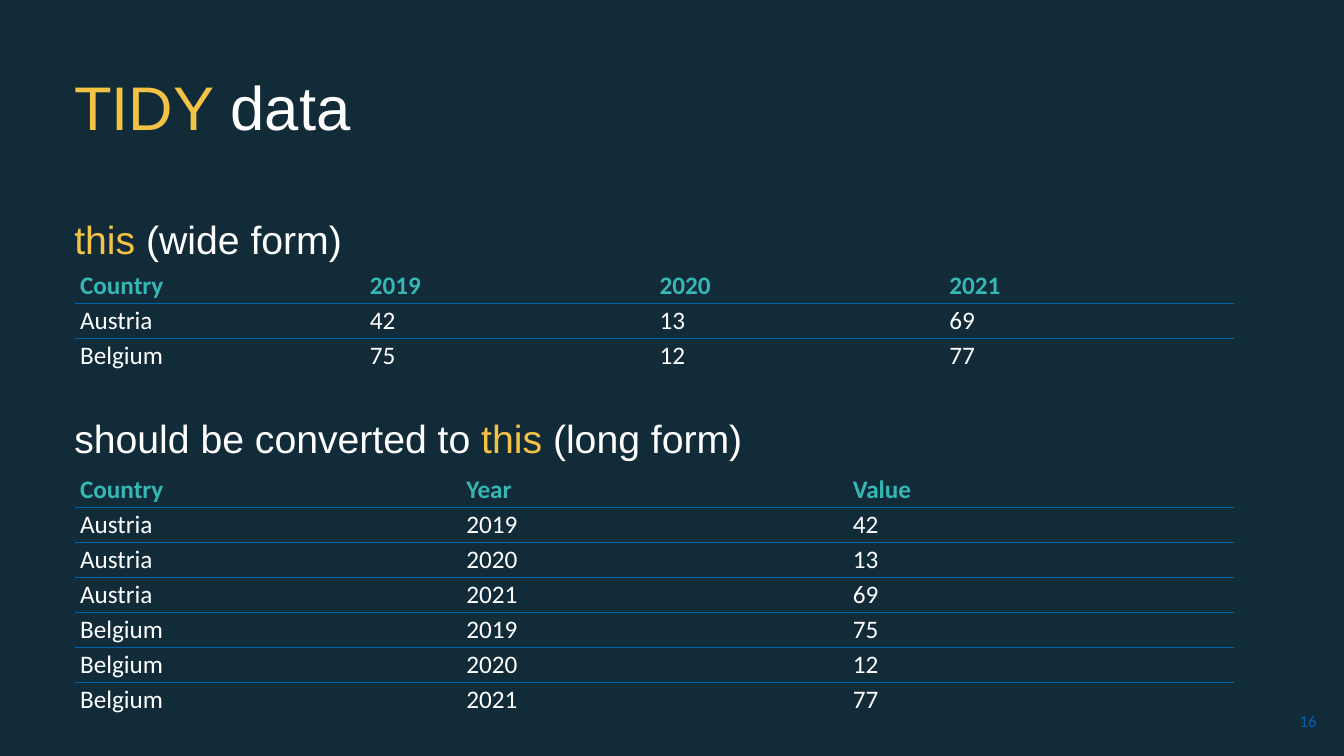
from dataclasses import dataclass

from lxml import etree
from pptx import Presentation
from pptx.dml.color import RGBColor
from pptx.enum.text import MSO_ANCHOR, PP_ALIGN
from pptx.oxml.ns import qn
from pptx.util import Pt

MIDDLE = MSO_ANCHOR.MIDDLE
TOP = MSO_ANCHOR.TOP
LEFT = PP_ALIGN.LEFT
RIGHT = PP_ALIGN.RIGHT


@dataclass(frozen=True)
class Theme:
    background: str = "122B39"
    text: str = "FFFFFF"
    accent: str = "F4C245"
    header: str = "36B7B4"
    rule: str = "0063AF"
    heading_font: str = "Arial"
    body_font: str = "Calibri"
    title_size: int = 44
    heading_size: int = 28
    table_size: int = 18
    number_size: int = 12
    rule_width: int = 1
    row_height: int = 25


THEME = Theme()

WIDE_ROWS = [
    ("Country", "2019", "2020", "2021"),
    ("Austria", "42", "13", "69"),
    ("Belgium", "75", "12", "77"),
]


def to_long(rows):
    years = rows[0][1:]
    long_rows = [("Country", "Year", "Value")]
    for country, *values in rows[1:]:
        long_rows += [(country, year, value) for year, value in zip(years, values)]
    return long_rows


def add_run(paragraph, text, font, size, color, bold=False):
    run = paragraph.add_run()
    run.text = text
    formats = {"name": font, "size": Pt(size), "bold": bold}
    for name, value in formats.items():
        setattr(run.font, name, value)
    run.font.color.rgb = RGBColor.from_string(color)


def add_text(slide, box, runs, font, size, anchor=TOP, align=LEFT, spacing=1.0):
    frame = slide.shapes.add_textbox(*map(Pt, box)).text_frame
    paragraph = frame.paragraphs[0]
    for target, formats in (
        (frame, {"word_wrap": True, "vertical_anchor": anchor}),
        (paragraph, {"alignment": align, "line_spacing": spacing}),
    ):
        for name, value in formats.items():
            setattr(target, name, value)
    for text, color in runs:
        add_run(paragraph, text, font, size, color)


def set_borders(cell, top, bottom):
    properties = cell._tc.get_or_add_tcPr()
    sides = {"a:lnL": False, "a:lnR": False, "a:lnT": top, "a:lnB": bottom}
    for index, (tag, visible) in enumerate(sides.items()):
        line = etree.Element(qn(tag), w=str(Pt(THEME.rule_width)))
        if visible:
            fill = etree.SubElement(line, qn("a:solidFill"))
            etree.SubElement(fill, qn("a:srgbClr"), val=THEME.rule)
        else:
            etree.SubElement(line, qn("a:noFill"))
        properties.insert(index, line)


def add_data_table(slide, left, top, width, rows):
    height = THEME.row_height * len(rows)
    table = slide.shapes.add_table(
        len(rows), len(rows[0]), Pt(left), Pt(top), Pt(width), Pt(height)
    ).table
    table.horz_banding = False
    cell_formats = {
        "margin_left": Pt(3.6),
        "margin_right": Pt(3.6),
        "margin_top": Pt(1.4),
        "margin_bottom": Pt(1.4),
        "vertical_anchor": MIDDLE,
    }
    for row_index, row in enumerate(rows):
        is_header = row_index == 0
        color = THEME.header if is_header else THEME.text
        for column_index, text in enumerate(row):
            cell = table.cell(row_index, column_index)
            for name, value in cell_formats.items():
                setattr(cell, name, value)
            cell.fill.background()
            set_borders(cell, not is_header, row_index < len(rows) - 1)
            paragraph = cell.text_frame.paragraphs[0]
            add_run(paragraph, text, THEME.body_font, THEME.table_size, color, is_header)


def add_section(slide, box, runs, table_offset, rows):
    left, top, width = box
    add_text(slide, (left, top, width, 40), runs, THEME.heading_font, THEME.heading_size)
    add_data_table(slide, left + 7.6, top + table_offset, width, rows)


def add_title(slide, box):
    runs = [("TIDY ", THEME.accent), ("data", THEME.text)]
    add_text(slide, box, runs, THEME.heading_font, THEME.title_size, MIDDLE, spacing=0.9)


def add_slide_number(slide, box):
    runs = [("16", THEME.rule)]
    add_text(slide, box, runs, THEME.body_font, THEME.number_size, MIDDLE, RIGHT)


def add_tidy_slide(presentation):
    slide = presentation.slides.add_slide(presentation.slide_layouts[6])
    fill = slide.background.fill
    fill.solid()
    fill.fore_color.rgb = RGBColor.from_string(THEME.background)
    add_title(slide, (46, 26.6, 828, 104.4))
    wide_heading = [("this ", THEME.accent), ("(wide form)", THEME.text)]
    long_heading = [
        ("should be converted to ", THEME.text),
        ("this ", THEME.accent),
        ("(long form)", THEME.text),
    ]
    add_section(slide, (46, 150.4, 828), wide_heading, 41.2, WIDE_ROWS)
    add_section(slide, (46, 292.4, 828), long_heading, 45.1, to_long(WIDE_ROWS))
    add_slide_number(slide, (738.7, 500.4, 208.8, 28.8))


def main():
    presentation = Presentation()
    presentation.slide_width = Pt(960)
    presentation.slide_height = Pt(540)
    add_tidy_slide(presentation)
    presentation.save("out.pptx")


if __name__ == "__main__":
    main()
